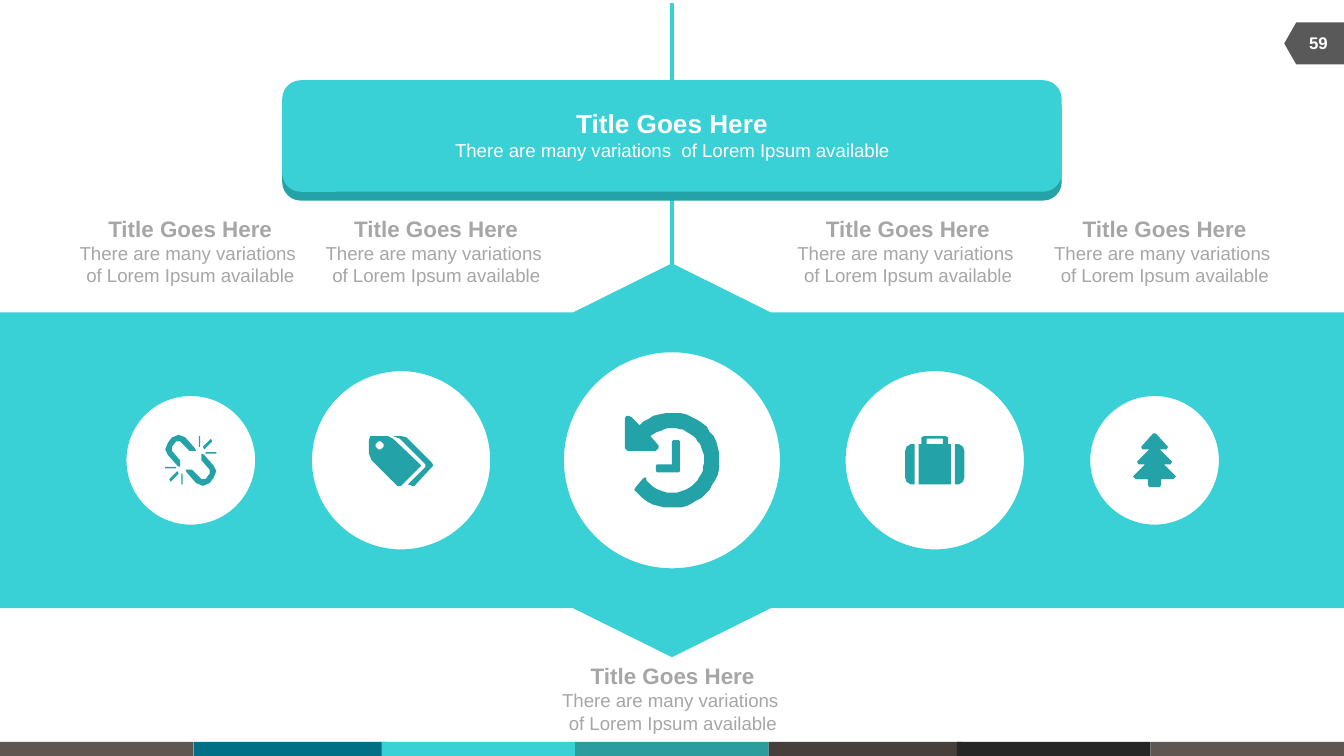
import math

from lxml import etree
from pptx import Presentation
from pptx.dml.color import RGBColor
from pptx.enum import shapes, text
from pptx.oxml import ns
from pptx.util import Pt

CYAN = RGBColor(0x39, 0xD0, 0xD6)
TEAL = RGBColor(0x23, 0xA3, 0xA8)
WHITE = RGBColor(0xFF, 0xFF, 0xFF)
GRAY = RGBColor(0xA6, 0xA6, 0xA6)
SLATE = RGBColor(0x59, 0x59, 0x59)
FONT = "Arial"
KIND = shapes.MSO_SHAPE

HEADING = "Title Goes Here"
BANNER_BODY = "There are many variations  of Lorem Ipsum available"
CAPTION_BODY = "There are many variations \vof Lorem Ipsum available"
PAGE = "59"

CENTER_X, CENTER_Y = 360, 246.6
CAPTIONS = [(30.24, 111.6), (162, 111.6), (552.24, 111.6),
            (414.72, 111.6), (288.72, 351.36)]
FOOTER = [  # left, colour
    (0, "5F5551"), (103.68, "016F86"), (204.48, "39D0D6"), (308.16, "2D9C9C"),
    (411.84, "473F3C"), (512.64, "262626"), (616.32, "5F5551"),
]

# Icon outlines lie on a grid of 0.72 pt cells around the centre of their circle.
CELL = Pt(0.72)


def arc(radius, start, end, x=0, y=0, steps=40):
    """Points on an arc, angles in degrees clockwise from the right."""
    angles = [math.radians(start + (end - start) * i / steps) for i in range(steps + 1)]
    return [(x + radius * math.cos(a), y + radius * math.sin(a)) for a in angles]


def bar(left, top, right, bottom):
    return [(left, top), (right, top), (right, bottom), (left, bottom)]


def mirrored(points):
    return [(-x, y) for x, y in points]


def turned(points):
    return [(-x, -y) for x, y in points]


HISTORY = [
    arc(35.5, 141, -133) + [(-30, -32), (-32, -33), (-34, -33), (-35, -31), (-35, -9),
                            (-33, -7), (-12, -7), (-10, -9), (-10, -11), (-16, -18)]
    + arc(24, -131, 141) + [(-19, 13), (-21, 13), (-27, 20)],
    [(0, -14), (1, -15), (5, -15), (6, -14), (6, 8), (5, 9), (-11, 9),
     (-12, 8), (-12, 4), (-11, 3), (0, 3)],
]
TAGS = [
    [(-24, -15), (-23, -18), (-10, -18), (-6, -16), (13, 2), (15, 4), (13, 6),
     (0, 19), (-3, 19), (-22, 0), (-24, -5)],
    arc(3, 360, 0, -16, -11),
    [(-6, -18), (0, -18), (4, -17), (23, 2), (24, 4), (22, 6), (10, 19),
     (8, 19), (5, 18), (18, 5), (18, 3), (-1, -16)],
]
CASE_SIDE = [(-15, -12.5), (-18, -12.5), (-21, -10), (-21.5, -7), (-21.5, 13),
             (-21, 16), (-18, 18.5), (-15, 18.5)]
SUITCASE = [
    CASE_SIDE,
    mirrored(CASE_SIDE),
    [(-12.5, -12.5), (-9.5, -12.5), (-9.5, -17), (-8, -18.5), (8, -18.5), (9.5, -17),
     (9.5, -12.5), (12.5, -12.5), (12.5, 18.5), (-12.5, 18.5)],
    bar(-6, -15.5, 6, -12.5)[::-1],
]
HALF_CHAIN = [
    [(-1, -7), (-8, -14), (-11, -14), (-14, -10), (-14, -7), (-8, 0), (-8, 5),
     (-10, 4), (-17, -4), (-19, -8), (-17, -13), (-14, -17), (-9, -19),
     (-4, -17), (3, -9), (4, -7)],
    bar(-19, 5, -11, 6.5),
    bar(-7, 10, -5.5, 18.5),
    [(-16, 14.5), (-10, 8.5), (-9, 9.5), (-15, 15.5)],
]
BROKEN_CHAIN = HALF_CHAIN + [turned(part) for part in HALF_CHAIN]
HALF_TREE = [(1, -19.5), (10, -10), (9, -8), (4, -8), (13, 1), (12, 3), (7, 3),
             (16, 12), (14, 14), (5, 14), (5, 18), (4, 19.5)]
TREE = [HALF_TREE + mirrored(HALF_TREE)[::-1]]

CIRCLES = [  # centre x, diameter, icon
    (214.9, 100, TAGS), (102.2, 73.44, BROKEN_CHAIN), (500.8, 100, SUITCASE),
    (618.5, 73.44, TREE), (CENTER_X, 120.24, HISTORY),
]

deck = Presentation()
deck.slide_width, deck.slide_height = Pt(720), Pt(405)
slide = deck.slides.add_slide(deck.slide_layouts[6])


def paint(shape, color, outline=None):
    shape.shadow.inherit = False
    shape.fill.solid()
    shape.fill.fore_color.rgb = color
    if outline is None:
        shape.line.fill.background()
    else:
        shape.line.color.rgb = outline
        shape.line.width = Pt(4.5)


def add_block(kind, left, top, width, height, color, outline=None):
    block = slide.shapes.add_shape(kind, Pt(left), Pt(top), Pt(width), Pt(height))
    paint(block, color, outline)
    return block


def add_stem(top, bottom):
    stem = slide.shapes.add_connector(shapes.MSO_CONNECTOR.STRAIGHT, Pt(CENTER_X),
                                      Pt(top), Pt(CENTER_X), Pt(bottom))
    stem.line.color.rgb = CYAN
    stem.line.width = Pt(2.25)
    etree.SubElement(stem._element.spPr, ns.qn("a:effectLst"))


def add_label(left, top, width, height, color, lines):
    """Centred text box; lines holds (wording, size, bold)."""
    label = slide.shapes.add_textbox(Pt(left), Pt(top), Pt(width), Pt(height))
    frame = label.text_frame
    frame.word_wrap = True
    for i, (wording, size, bold) in enumerate(lines):
        line = frame.add_paragraph() if i else frame.paragraphs[0]
        line.text = wording
        line.alignment = text.PP_ALIGN.CENTER
        for run in line.runs:
            run.font.name = FONT
            run.font.size = Pt(size)
            run.font.bold = bold
            run.font.color.rgb = color
    return frame


def add_icon(outlines, x, y):
    builder = slide.shapes.build_freeform(*outlines[0][0], scale=CELL)
    builder.add_line_segments(outlines[0][1:], close=True)
    for outline in outlines[1:]:
        builder.move_to(*outline[0])
        builder.add_line_segments(outline[1:], close=True)
    paint(builder.convert_to_shape(Pt(x), Pt(y)), TEAL)


for left, shade in FOOTER:
    add_block(KIND.RECTANGLE, left, 397.5, 103.68, 7.5, RGBColor.from_string(shade))

page_tab = add_block(KIND.FLOWCHART_OFFPAGE_CONNECTOR, 692.75, 7.3, 22.5, 32, SLATE)
page_tab.rotation = 90
page_frame = add_label(691.2, 12.24, 30.24, 21.6, WHITE, [(PAGE, 9, True)])
page_frame.vertical_anchor = text.MSO_ANCHOR.MIDDLE

add_stem(107.28, 151.92)
band = add_block(KIND.LEFT_RIGHT_ARROW_CALLOUT, CENTER_X - 105.5, CENTER_Y - 360,
                 211, 720, CYAN)
band.rotation = 270
for i, ratio in enumerate((0.5, 0.25, 0.124, 0.751)):
    band.adjustments[i] = ratio

add_stem(1.44, 45.36)
for top, color in ((47.75, TEAL), (43, CYAN)):
    add_block(KIND.ROUNDED_RECTANGLE, 151.2, top, 417.6, 59.76, color)
add_label(202.32, 54, 315.36, 36, WHITE,
          [(HEADING, 14, True), (BANNER_BODY, 10, False)])

for left, top in CAPTIONS:
    frame = add_label(left, top, 143.28, 46.08, GRAY,
                      [(HEADING, 12, True), (CAPTION_BODY, 10, False)])
    frame.auto_size = text.MSO_AUTO_SIZE.SHAPE_TO_FIT_TEXT

for x, diameter, icon in CIRCLES:
    add_block(KIND.OVAL, x - diameter / 2, CENTER_Y - diameter / 2,
              diameter, diameter, WHITE, CYAN)
    add_icon(icon, x, CENTER_Y)

deck.save("out.pptx")
